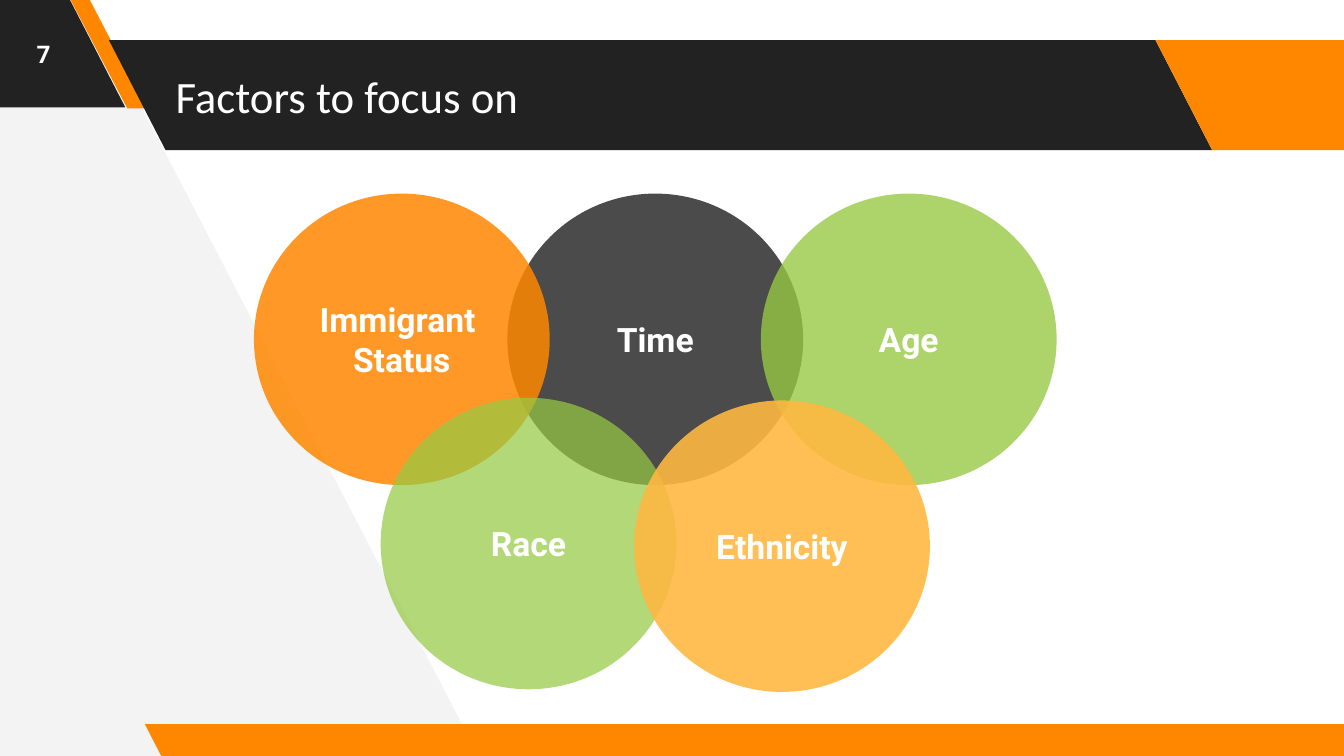
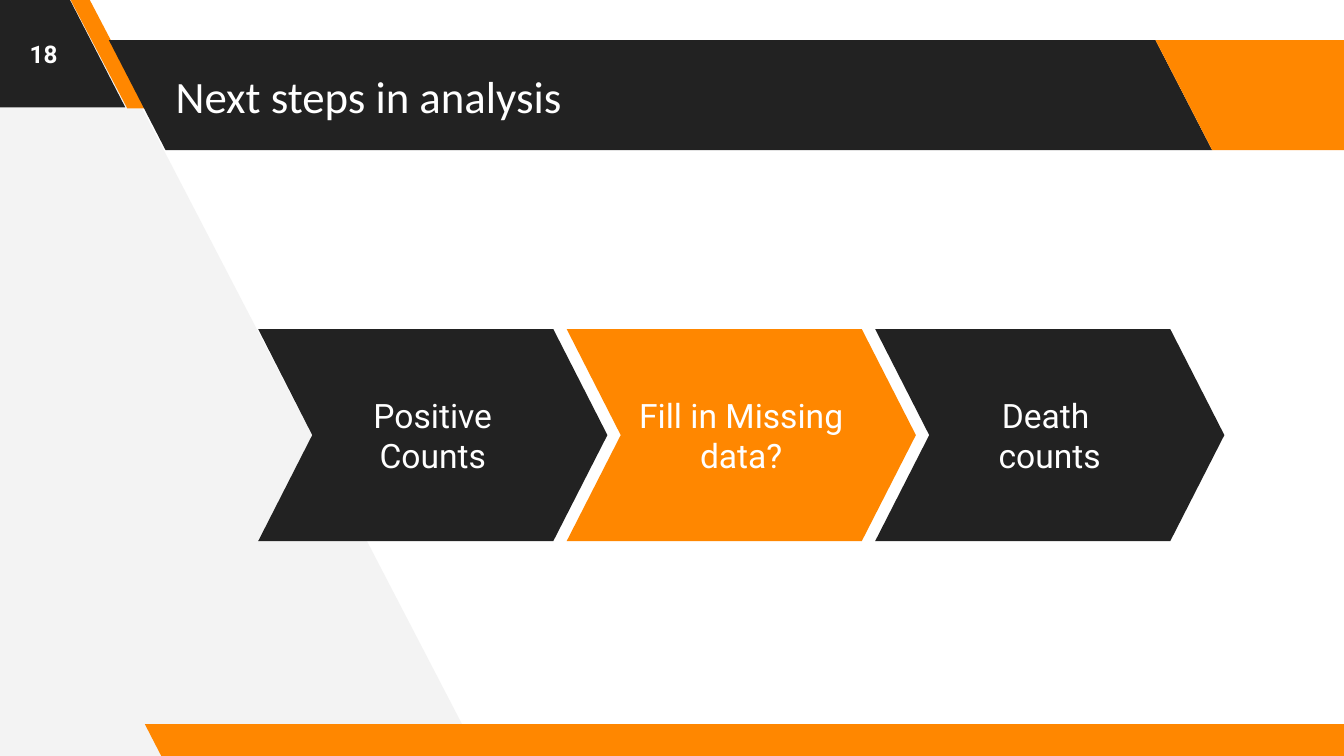
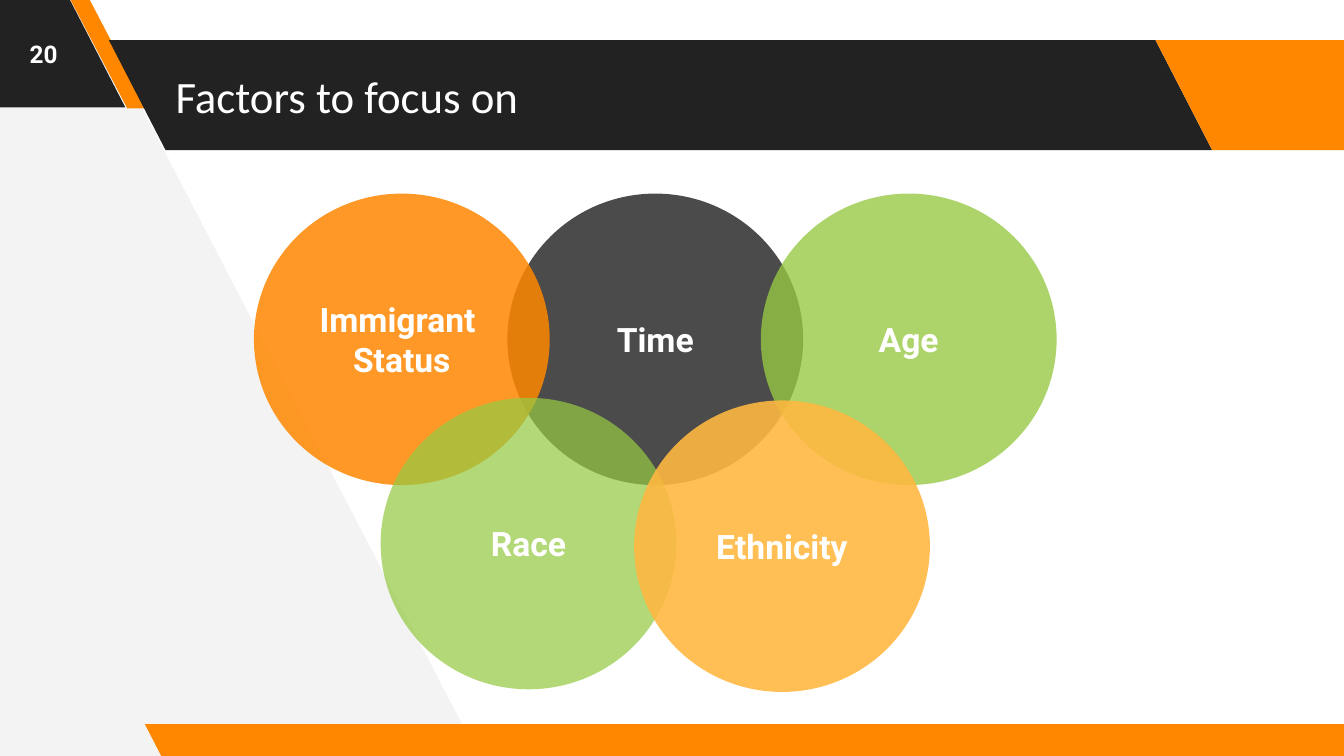
from lxml import etree
from pptx import Presentation
from pptx.dml.color import RGBColor
from pptx.enum import shapes, text
from pptx.oxml import ns
from pptx.util import Cm, Pt

DARK = RGBColor(0x22, 0x22, 0x22)
ORANGE = RGBColor(0xFF, 0x87, 0x00)
AMBER = RGBColor(0xFF, 0xB8, 0x40)
GREEN = RGBColor(0x96, 0xC9, 0x44)
PALE_GREY = RGBColor(0xF3, 0xF3, 0xF3)
WHITE = RGBColor(0xFF, 0xFF, 0xFF)

TITLE_FONT = "Calibri"
BODY_FONT = "Roboto"

SLANT = 0.515
BAND_TOP, BAND_HEIGHT = 0.76, 2.08
CORNER_WIDTH = 4.88

CIRCLE_WIDTH, CIRCLE_HEIGHT = 5.59, 5.51
CIRCLE_LEFT, CIRCLE_TOP, CIRCLE_PITCH = 4.8, 3.66, 4.79

CHEVRON_WIDTH, CHEVRON_HEIGHT = 6.6, 4.01
CHEVRON_LEFT, CHEVRON_TOP, CHEVRON_PITCH = 4.88, 6.22, 5.83


def write_text(shape, content, size=18, font=BODY_FONT, bold=False,
               color=WHITE, align=text.PP_ALIGN.CENTER):
    """Fill a shape with text, one paragraph for each line of content."""
    frame = shape.text_frame
    frame.word_wrap = True
    frame.vertical_anchor = text.MSO_ANCHOR.MIDDLE
    frame.margin_left = frame.margin_right = Cm(0.25)
    frame.margin_top = frame.margin_bottom = Cm(0.25)
    frame.text = content
    for paragraph in frame.paragraphs:
        paragraph.alignment = align
        paragraph.font.name = font
        paragraph.font.size = Pt(size)
        paragraph.font.bold = bold
        paragraph.font.color.rgb = color


def paint(shape, color, opacity=100):
    """Give a shape a plain fill, without outline or shadow."""
    shape.shadow.inherit = False
    shape.line.fill.background()
    shape.fill.solid()
    shape.fill.fore_color.rgb = color
    if opacity < 100:
        fill_color = shape.element.spPr.find(".//" + ns.qn("a:srgbClr"))
        alpha = etree.SubElement(fill_color, ns.qn("a:alpha"))
        alpha.set("val", str(opacity * 1000))


def add_preset(slide, kind, left, top, width, height, color, opacity=100):
    shape = slide.shapes.add_shape(kind, Cm(left), Cm(top), Cm(width), Cm(height))
    paint(shape, color, opacity)
    return shape


def add_band(slide, left, top, width, height, color, slant=SLANT):
    """Add a parallelogram that leans to the left."""
    band = add_preset(slide, shapes.MSO_SHAPE.PARALLELOGRAM,
                      left, top, width, height, color)
    band.adjustments[0] = slant
    band.element.spPr.xfrm.set("flipH", "1")


def add_label(slide, left, top, width, height, content, **text_format):
    box = slide.shapes.add_textbox(Cm(left), Cm(top), Cm(width), Cm(height))
    write_text(box, content, **text_format)


def add_side_panel(slide):
    start, *corners = [(Cm(x), Cm(y)) for x, y in (
        (9.04, 14.28), (1.57, -0.1), (-0.15, -0.1), (-0.05, 14.38))]
    builder = slide.shapes.build_freeform(*start)
    builder.add_line_segments(corners, close=True)
    paint(builder.convert_to_shape(), PALE_GREY)


def add_base_slide(presentation, title, number):
    """Add a slide with the shared bands, its title and its number."""
    slide = presentation.slides.add_slide(presentation.slide_layouts[6])
    add_side_panel(slide)
    add_band(slide, -2.51, -0.05, CORNER_WIDTH, BAND_HEIGHT, DARK)
    add_band(slide, 1.32, -0.03, 1.45, BAND_HEIGHT, ORANGE, slant=0.75)
    add_band(slide, 2.06, BAND_TOP, 20.85, BAND_HEIGHT, DARK)
    add_band(slide, 21.84, BAND_TOP, CORNER_WIDTH, BAND_HEIGHT, ORANGE)
    add_band(slide, 2.74, 13.69, 23.24, 0.64, ORANGE)
    add_label(slide, 3.07, BAND_TOP, 18.67, BAND_HEIGHT, title,
              size=24, font=TITLE_FONT, align=text.PP_ALIGN.LEFT)
    add_label(slide, 0, 0, 1.65, 2.03, str(number), size=13, bold=True)
    return slide


def add_factors_slide(presentation, number):
    slide = add_base_slide(presentation, "Factors to focus on", number)
    # Label, column in circle pitches, offset below the top row, fill, opacity
    circles = (
        ("Time", 1, 0, DARK, 81),
        ("Immigrant \nStatus", 0, 0, ORANGE, 85),
        ("Age", 2, 0, GREEN, 79),
        ("Race", 0.5, 3.86, GREEN, 72),
        ("Ethnicity", 1.5, 3.91, AMBER, 89),
    )
    for label, column, drop, color, opacity in circles:
        circle = add_preset(slide, shapes.MSO_SHAPE.OVAL,
                            CIRCLE_LEFT + column * CIRCLE_PITCH, CIRCLE_TOP + drop,
                            CIRCLE_WIDTH, CIRCLE_HEIGHT, color, opacity)
        write_text(circle, label, bold=True)


def add_steps_slide(presentation, number):
    slide = add_base_slide(presentation, "Next steps in analysis", number)
    steps = (("Positive Counts", DARK), ("Fill in Missing data?", ORANGE),
             ("Death \ncounts", DARK))
    for index, (label, color) in enumerate(steps):
        chevron = add_preset(slide, shapes.MSO_SHAPE.CHEVRON,
                             CHEVRON_LEFT + index * CHEVRON_PITCH, CHEVRON_TOP,
                             CHEVRON_WIDTH, CHEVRON_HEIGHT, color)
        chevron.adjustments[0] = 0.255
        write_text(chevron, label)


def main():
    presentation = Presentation()
    presentation.slide_width = Cm(25.4)
    presentation.slide_height = Cm(14.29)
    add_factors_slide(presentation, 7)
    add_steps_slide(presentation, 18)
    add_factors_slide(presentation, 20)
    presentation.save("out.pptx")


if __name__ == "__main__":
    main()
